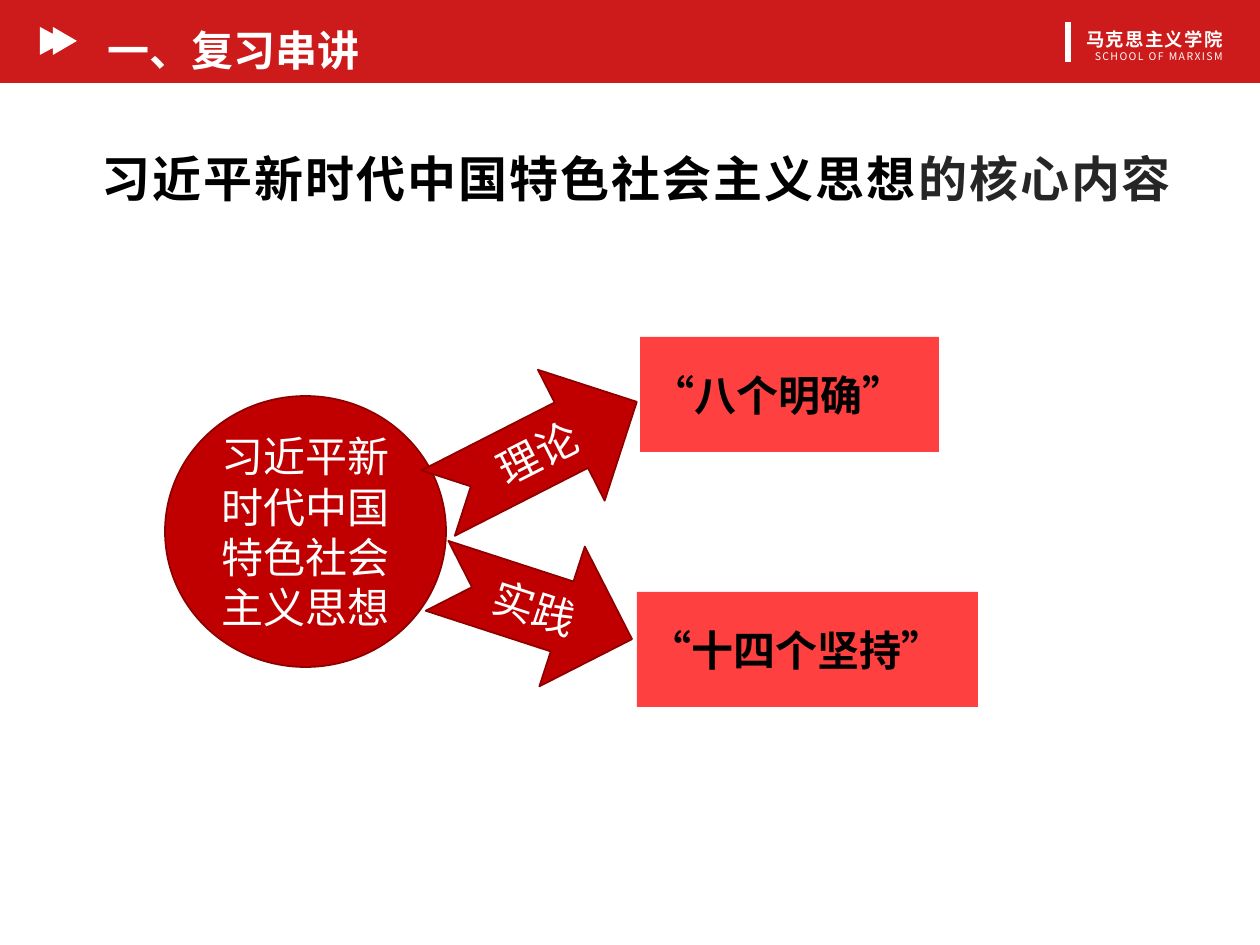
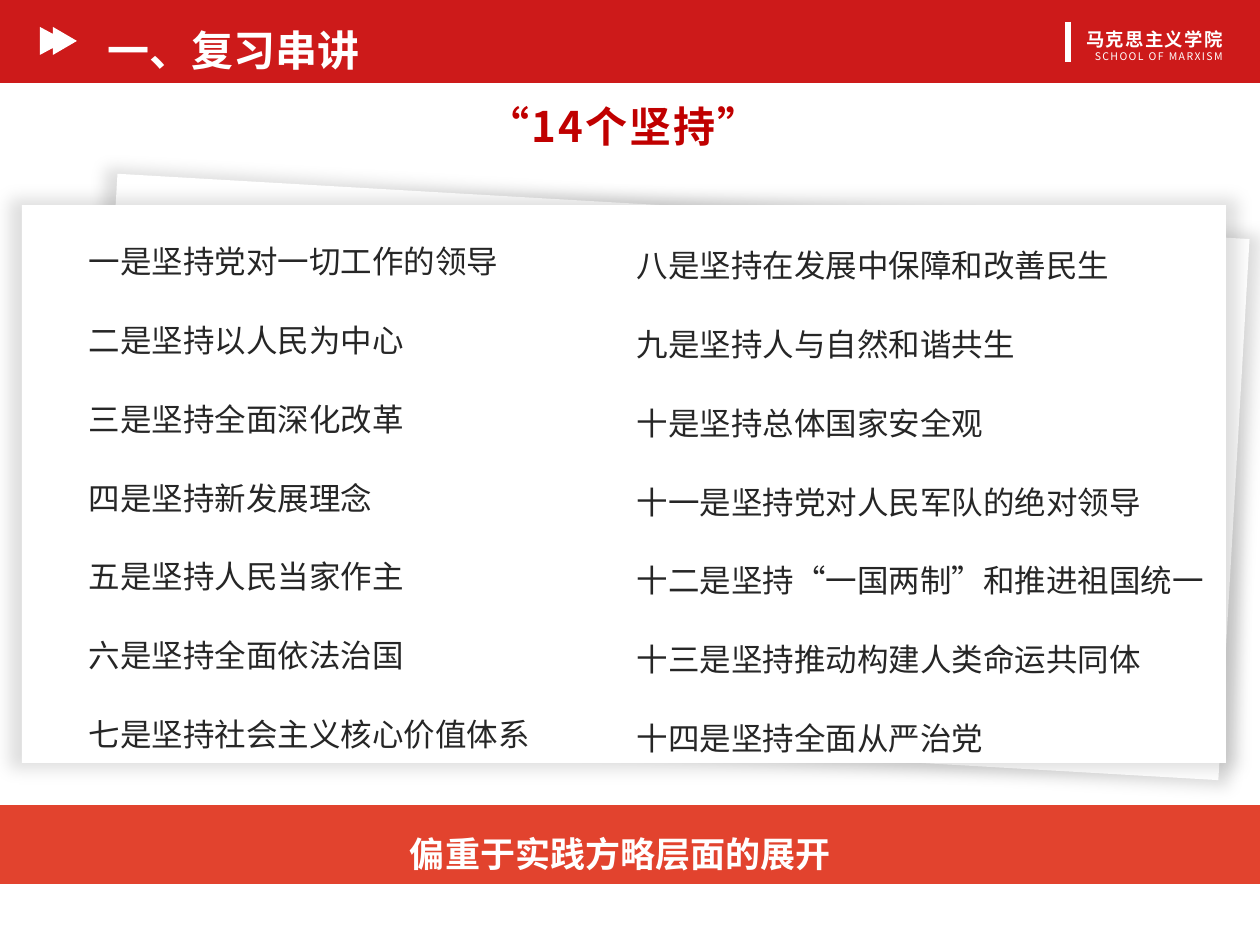
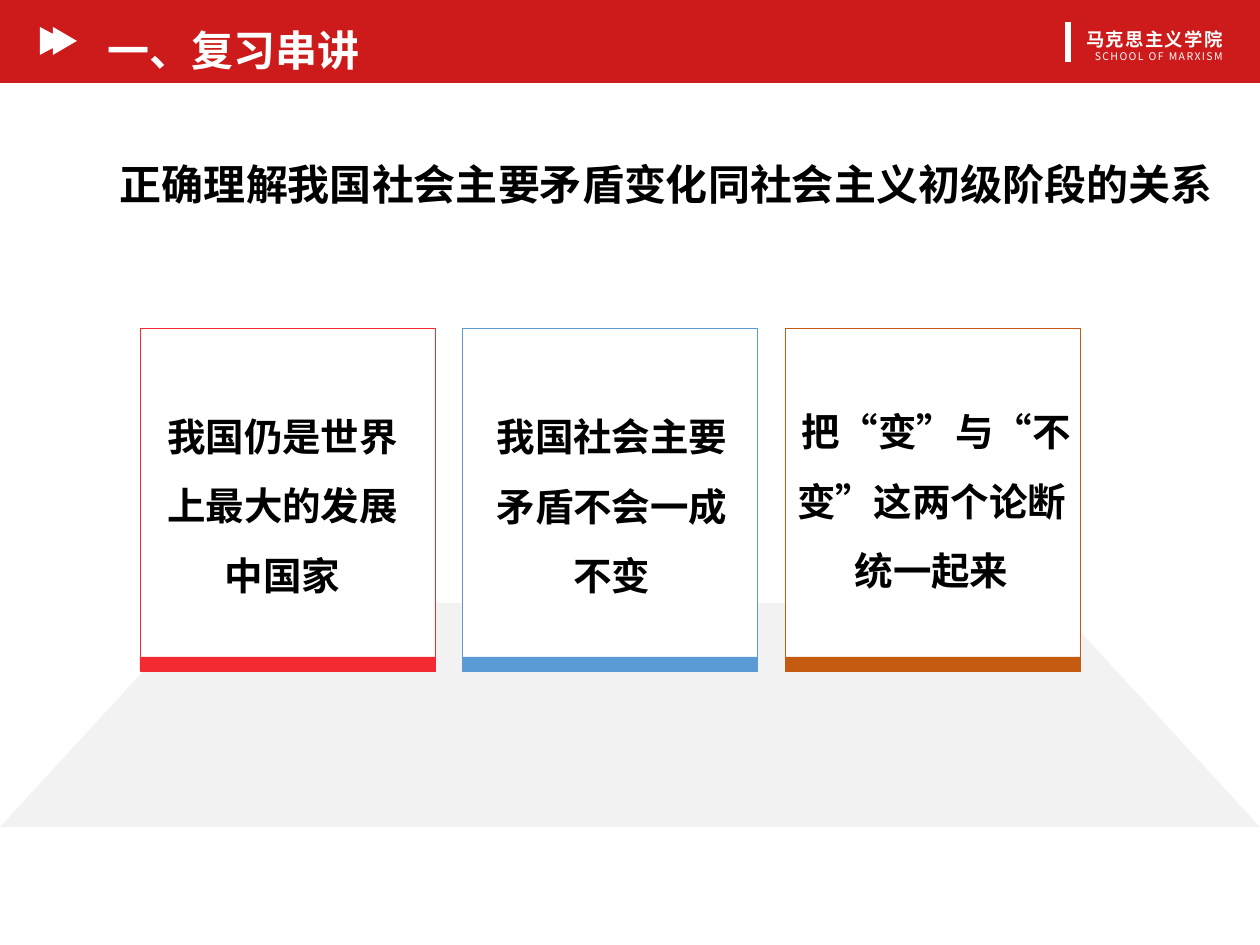
from dataclasses import dataclass

from lxml import etree
from pptx import Presentation
from pptx.dml.color import RGBColor
from pptx.enum.shapes import MSO_CONNECTOR, MSO_SHAPE
from pptx.enum.text import MSO_ANCHOR, MSO_AUTO_SIZE, PP_ALIGN
from pptx.oxml.ns import qn
from pptx.util import Inches, Pt

PX = Inches(1) / 126  # EMU in one px
TITLE_ONLY, TWO_CONTENT = 5, 3
LEFT, CENTER, RIGHT, JUSTIFY = (
    PP_ALIGN.LEFT, PP_ALIGN.CENTER, PP_ALIGN.RIGHT, PP_ALIGN.JUSTIFY)


@dataclass(frozen=True)
class Theme:
    font: str = "Noto Sans CJK SC"
    # Colours
    band: str = "CD1A1A"
    strip: str = "E2432E"
    label: str = "FF4040"
    deep: str = "C00000"
    edge: str = "8E0000"
    white: str = "FFFFFF"
    black: str = "000000"
    ink: str = "262626"
    floor: str = "F2F2F2"
    cards: tuple = ("F32A32", "5B9BD5", "C55A11")
    # Type sizes
    headline: float = 28
    title: float = 24
    card: float = 22
    strip_text: float = 20
    body: float = 18
    school: float = 10.5
    school_en: float = 6


def emu(*lengths):
    return [round(v * PX) for v in lengths]


class Deck:
    def __init__(self, theme):
        self.t = theme
        self.prs = Presentation()
        self.prs.slide_width, self.prs.slide_height = emu(1260, 945)
        self.s = None

    def add_run(self, p, text, size, color, bold=False, spacing=0):
        r = p.add_run()
        r.text = text
        r.font.size, r.font.bold = Pt(size), bold
        r.font.color.rgb = RGBColor.from_string(color)
        r.font.name = self.t.font
        rPr = r._r.get_or_add_rPr()
        etree.SubElement(rPr, qn("a:ea")).set("typeface", self.t.font)
        if spacing:
            rPr.set("spc", str(round(spacing * 100)))

    def set_text(self, tf, paragraphs, align=LEFT, line=None, anchor=MSO_ANCHOR.TOP):
        """Each paragraph is a list of run tuples: text, size, colour, bold, spacing."""
        tf.word_wrap = True
        tf.vertical_anchor = anchor
        for i, runs in enumerate(paragraphs):
            p = tf.add_paragraph() if i else tf.paragraphs[0]
            p.alignment = align
            if line:
                p.line_spacing = line
            for r in runs:
                self.add_run(p, *r)

    def text(self, box, paragraphs, align=LEFT, line=None):
        sp = self.s.shapes.add_textbox(*emu(*box))
        sp.text_frame.auto_size = MSO_AUTO_SIZE.SHAPE_TO_FIT_TEXT
        self.set_text(sp.text_frame, paragraphs, align, line)
        return sp

    def paint(self, sp, fill, edge=None, width=1):
        sp.shadow.inherit = False
        sp.fill.solid()
        sp.fill.fore_color.rgb = RGBColor.from_string(fill)
        if edge:
            sp.line.color.rgb = RGBColor.from_string(edge)
            sp.line.width = Pt(width)
        else:
            sp.line.fill.background()

    def shape(self, kind, box, fill, edge=None, width=1, rot=0, adj=None,
              runs=None, align=CENTER):
        sp = self.s.shapes.add_shape(kind, *emu(*box))
        self.paint(sp, fill, edge, width)
        sp.rotation = rot
        if adj is not None:
            sp.adjustments[0] = adj
        if runs:
            self.set_text(sp.text_frame, [runs], align, anchor=MSO_ANCHOR.MIDDLE)
        return sp

    def rect(self, box, fill, **options):
        return self.shape(MSO_SHAPE.RECTANGLE, box, fill, **options)

    def paper(self, box, rot=0):
        sp = self.rect(box, self.t.white, rot=rot)
        effects = sp.element.spPr.find(qn("a:effectLst"))
        shadow = etree.SubElement(
            effects, qn("a:outerShdw"), blurRad=str(Pt(9)), sx="102000",
            sy="102000", algn="ctr", rotWithShape="0")
        color = etree.SubElement(shadow, qn("a:srgbClr"), val=self.t.black)
        etree.SubElement(color, qn("a:alpha"), val="13000")

    def freeform(self, points, fill):
        builder = self.s.shapes.build_freeform(*points[0], scale=PX)
        builder.add_line_segments(points[1:], close=True)
        self.paint(builder.convert_to_shape(), fill)

    def line(self, x1, y1, x2, y2, color, width):
        cx = self.s.shapes.add_connector(MSO_CONNECTOR.STRAIGHT, *emu(x1, y1, x2, y2))
        cx.line.color.rgb = RGBColor.from_string(color)
        cx.line.width = Pt(width)
        etree.SubElement(cx.element.spPr, qn("a:effectLst"))

    def place(self, sp, box):
        """Move a placeholder to its box and in front of what is drawn so far."""
        sp.left, sp.top, sp.width, sp.height = emu(*box)
        sp.element.getparent().append(sp.element)
        sp.text_frame.auto_size = MSO_AUTO_SIZE.NONE
        return sp.text_frame

    def body(self, idx, box, items):
        tf = self.place(self.s.placeholders[idx], box)
        self.set_text(tf, [[(item, self.t.body, self.t.ink)] for item in items],
                      JUSTIFY, Pt(45))
        for p in tf.paragraphs:
            p.space_before = Pt(0)
            pPr = p._p.get_or_add_pPr()
            pPr.set("marL", "0")
            pPr.set("indent", "0")
            etree.SubElement(pPr, qn("a:buNone"))

    def slide(self, title, layout=TITLE_ONLY):
        """Start a slide with the shared header band."""
        t = self.t
        self.s = self.prs.slides.add_slide(self.prs.slide_layouts[layout])
        self.rect((0, 0, 1260, 83), t.band)
        tf = self.place(self.s.shapes.title, (95, 3, 997, 72))
        self.set_text(tf, [[(title, t.title, t.white, True)]], line=1.3)
        self.freeform([(40, 27), (53, 34), (53, 27), (77, 41),
                       (53, 55), (53, 48), (40, 55)], t.white)
        sp = self.text((948, 23, 287, 45), [
            [("马克思主义学院", t.school, t.white, True, 0.8)],
            [("SCHOOL OF MARXISM", t.school_en, t.white, False, 0.8)]], RIGHT)
        sp.text_frame.margin_top = sp.text_frame.margin_bottom = emu(5)[0]
        self.line(1068, 22, 1068, 62, t.white, 3)


def core_slide(d, title):
    t = d.t
    d.slide(title)
    # Result labels
    for box, label in (((640, 337, 299, 115), "“八个明确”"),
                       ((637, 592, 341, 115), "“十四个坚持”")):
        d.rect(box, t.label, runs=[(label, t.title, t.black, True)], align=LEFT)
    # Source circle and its two arrows
    arrow = MSO_SHAPE.NOTCHED_RIGHT_ARROW
    for kind, box, rot, label in (
            (MSO_SHAPE.OVAL, (165, 396, 281, 271), 0, "习近平新时代中国特色社会主义思想"),
            (arrow, (426, 379, 223, 147), 333, "理论"),
            (arrow, (432, 534, 205, 147), 18, "实践")):
        d.shape(kind, box, t.deep, t.edge, rot=rot, runs=[(label, t.title, t.white)])
    d.text((-58, 142, 1389, 72), [[
        ("习近平新时代中国特色社会主义思想", t.headline, t.black, True, 1.2),
        ("的核心内容", t.headline, t.ink, True, 1.2)]], CENTER)


def fourteen_slide(d, title):
    t = d.t
    d.slide(title, TWO_CONTENT)
    # Stacked sheets
    d.paper((101, 206, 1134, 542), rot=3.3)
    d.paper((22, 205, 1204, 558))
    # Two columns
    d.body(1, (76, 195, 620, 570), [
        "一是坚持党对一切工作的领导", "二是坚持以人民为中心", "三是坚持全面深化改革",
        "四是坚持新发展理念", "五是坚持人民当家作主", "六是坚持全面依法治国",
        "七是坚持社会主义核心价值体系"])
    d.text((-71, 84, 1389, 68),
           [[("“14个坚持”", t.title, t.deep, True, 1.2)]], CENTER, 1.2)
    d.body(2, (624, 199, 636, 570), [
        "八是坚持在发展中保障和改善民生", "九是坚持人与自然和谐共生", "十是坚持总体国家安全观",
        "十一是坚持党对人民军队的绝对领导", "十二是坚持“一国两制”和推进祖国统一",
        "十三是坚持推动构建人类命运共同体", "十四是坚持全面从严治党"])
    # Closing strip
    d.rect((0, 805, 1260, 79), t.strip)
    d.text((374, 805, 493, 77),
           [[("偏重于实践方略层面的展开", t.strip_text, t.white, True)]], CENTER, 1.5)


def relation_slide(d, title):
    t = d.t
    d.slide(title)
    d.shape(MSO_SHAPE.TRAPEZOID, (0, 603, 1260, 224), t.floor, adj=0.92)
    d.text((87, 127, 1158, 81),
           [[("正确理解我国社会主要矛盾变化同社会主义初级阶段的关系",
              t.title, t.black, True)]], CENTER, 1.5)
    # Cards
    captions = (((139, 384, 287, 214), "我国仍是世界上最大的发展中国家"),
                ((467, 384, 290, 223), "我国社会主要矛盾不会一成不变"),
                ((772, 379, 319, 223), " 把“变”与“不变”这两个论断统一起来"))
    for i, (color, (box, caption)) in enumerate(zip(t.cards, captions)):
        x = 140 + i * 322.5
        d.shape(MSO_SHAPE.SNIP_1_RECTANGLE, (x, 328, 295, 343), t.white, color, 0.25, adj=0)
        d.rect((x, 657, 295, 14), color)
        d.text(box, [[(caption, t.card, t.black, True)]], CENTER, 1.5)


def main():
    d = Deck(Theme())
    for build in (core_slide, fourteen_slide, relation_slide):
        build(d, "一、复习串讲")
    d.prs.save("out.pptx")


if __name__ == "__main__":
    main()
